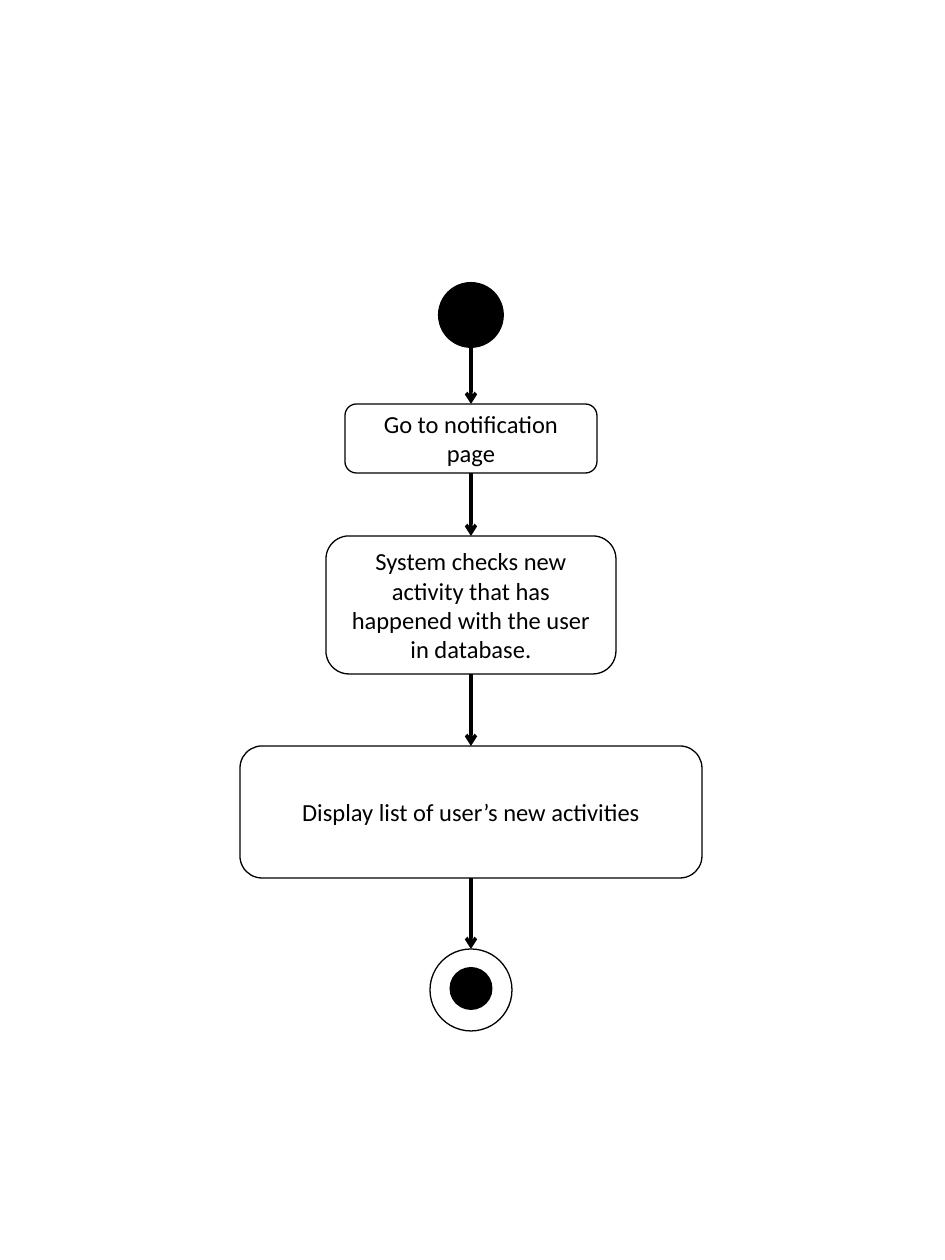
import pptx
import pptx.util
import pptx.dml.color
import pptx.enum.shapes
import pptx.enum.text
import pptx.oxml
import pptx.oxml.ns

PX = 914400 // 126
COLORS = {"ink": "000000", "paper": "FFFFFF"}
CENTER = 471
# kind, top, width, height, fill, text
STEPS = [
    ("OVAL", 282, 66, 66, "ink", ""),
    ("ROUNDED_RECTANGLE", 404, 252, 69, "paper", "Go to notification page"),
    ("ROUNDED_RECTANGLE", 536, 290, 138, "paper",
     "System checks new activity that has happened with the user in database."),
    ("ROUNDED_RECTANGLE", 746, 462, 132, "paper", "Display list of user’s new activities"),
    ("OVAL", 949, 82, 82, "paper", ""),
]
END_DOT = ("OVAL", 967, 43, 43, "ink", "")


def color(name):
    return pptx.dml.color.RGBColor.from_string(COLORS[name])


def add_node(s, kind, top, width, height, fill, text):
    sp = s.shapes.add_shape(getattr(pptx.enum.shapes.MSO_SHAPE, kind),
                            round((CENTER - width / 2) * PX), top * PX, width * PX, height * PX)
    sp.shadow.inherit = False
    sp.fill.solid()
    sp.fill.fore_color.rgb = color(fill)
    if fill == "ink":
        sp.line.fill.background()
    else:
        sp.line.color.rgb = color("ink")
        sp.line.width = pptx.util.Pt(0.75)
    if text:
        tf = sp.text_frame
        tf.word_wrap = True
        tf.vertical_anchor = pptx.enum.text.MSO_ANCHOR.MIDDLE
        p = tf.paragraphs[0]
        p.alignment = pptx.enum.text.PP_ALIGN.CENTER
        r = p.add_run()
        r.text = text
        r.font.name = "Calibri"
        r.font.size = pptx.util.Pt(14)
        r.font.color.rgb = color("ink")
    return sp


def add_arrow(s, start, end):
    line = s.shapes.add_connector(pptx.enum.shapes.MSO_CONNECTOR.STRAIGHT, 0, 0, 0, 0)
    line.begin_connect(start, 2)
    line.end_connect(end, 0)
    # The bottom site of an oval is number 4
    if start.auto_shape_type == pptx.enum.shapes.MSO_SHAPE.OVAL:
        line.element.find(".//" + pptx.oxml.ns.qn("a:stCxn")).set("idx", "4")
    line.begin_x = line.end_x = CENTER * PX
    line.begin_y, line.end_y = start.top + start.height, end.top
    line.line.color.rgb = color("ink")
    line.line.width = pptx.util.Pt(2)
    ln = line.element.spPr.find(pptx.oxml.ns.qn("a:ln"))
    ns = pptx.oxml.ns.nsdecls("a")
    ln.append(pptx.oxml.parse_xml(f'<a:tailEnd {ns} type="arrow"/>'))
    ln.addnext(pptx.oxml.parse_xml(f'<a:effectLst {ns}/>'))


prs = pptx.Presentation()
prs.slide_width = pptx.util.Inches(7.5)
prs.slide_height = pptx.util.Inches(10)
s = prs.slides.add_slide(prs.slide_layouts[6])

# Steps from start to end, then the arrows between neighbours
nodes = [add_node(s, *step) for step in STEPS]
add_node(s, *END_DOT)
for start, end in zip(nodes, nodes[1:]):
    add_arrow(s, start, end)

prs.save("out.pptx")
